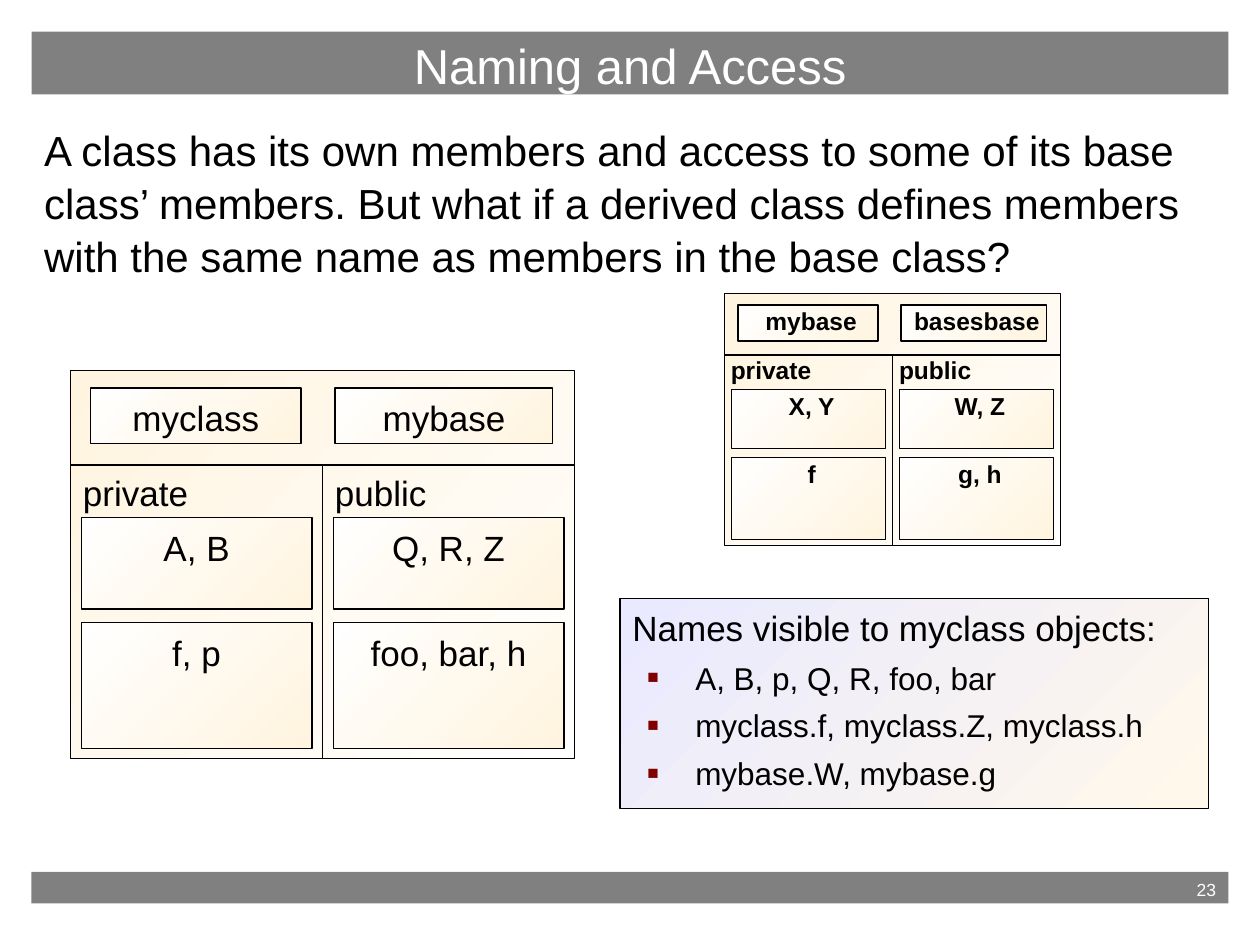
"""Build a slide on naming and access in derived classes."""
from lxml import etree
from pptx import Presentation, util as u
from pptx.dml.color import RGBColor as Rgb
from pptx.enum import shapes as es, text as et
from pptx.oxml.ns import qn

LOOK = {
    "font": "Arial", "ink": "000000", "pale": "FFFFFF", "bar": "808080",
    "cream": "FFF4DF", "sand": "FFF8EB", "lilac": "E9E9FF", "mark": "800000",
    "title": 28, "body": 24, "card": 20, "list": 18, "small": 14, "foot": 10,
    "lead": 1.05, "line": 0.75,
}
WIDE, HIGH = 10, 7.5
LEFT, CENTER, RIGHT = et.PP_ALIGN.LEFT, et.PP_ALIGN.CENTER, et.PP_ALIGN.RIGHT


def write(frame, words, size, ink="ink", align=LEFT, bold=False, pad=(0.1, 0.05, 0.1, 0.05), wrap=True):
    frame.word_wrap = wrap
    frame.auto_size = et.MSO_AUTO_SIZE.NONE
    frame.vertical_anchor = et.MSO_ANCHOR.TOP
    frame.margin_left, frame.margin_top, frame.margin_right, frame.margin_bottom = map(u.Inches, pad)
    para = frame.paragraphs[0]
    para.alignment, para.line_spacing, para.space_before = align, LOOK["lead"], u.Pt(0)
    run = para.add_run()
    run.text = words
    run.font.name, run.font.size, run.font.bold = LOOK["font"], u.Pt(LOOK[size]), bold
    run.font.color.rgb = Rgb.from_string(LOOK[ink])


def block(home, area, *tones):
    shape = home.add_shape(es.MSO_SHAPE.RECTANGLE, *map(u.Inches, area))
    shape.shadow.inherit = False
    if len(tones) == 1:
        shape.fill.solid()
        shape.fill.fore_color.rgb = Rgb.from_string(LOOK[tones[0]])
        shape.line.fill.background()
        return shape
    shape.fill.gradient()
    shape.fill.gradient_angle = 135
    for stop, tone in zip(shape.fill.gradient_stops, tones):
        stop.color.rgb = Rgb.from_string(LOOK[tone])
    shape.line.color.rgb = Rgb.from_string(LOOK["ink"])
    shape.line.width = u.Pt(LOOK["line"])
    return shape


deck = Presentation()
deck.slide_width, deck.slide_height = u.Inches(WIDE), u.Inches(HIGH)
slide = deck.slides.add_slide(deck.slide_layouts[1])
edge, span = WIDE / 40, WIDE * 0.95

foot = block(slide.shapes, (edge, 6.92, span, edge), "bar")
write(foot.text_frame, "23", "foot", "pale", RIGHT)

title, body = slide.placeholders
title.left, title.top, title.width, title.height = map(u.Inches, (edge, edge, span, 2 * edge))
title.fill.solid()
title.fill.fore_color.rgb = Rgb.from_string(LOOK["bar"])
write(title.text_frame, "Naming and Access", "title", "pale", CENTER)
title.text_frame.vertical_anchor = et.MSO_ANCHOR.MIDDLE

body.left, body.top, body.width, body.height = map(u.Inches, (edge, 0.92, span, 5.83))
props = body.text_frame.paragraphs[0]._p.get_or_add_pPr()
props.set("marL", "0")
props.set("indent", "0")
etree.SubElement(props, qn("a:buNone"))
write(body.text_frame, "A class has its own members and access to some of its base class’ members. "
      "But what if a derived class defines members with the same name as members in the base class?", "body")

cards = [
    ((0.56, 2.94, 4, 3.08), "card", False, (0.1, 0.05, 0.1, 0.05),
     ("myclass", "mybase"), (("A, B", "f, p"), ("Q, R, Z", "foo, bar, h"))),
    ((5.75, 2.33, 2.67, 2), "small", True, (0.05, 0, 0, 0),
     ("mybase", "basesbase"), (("X, Y", "f"), ("W, Z", "g, h"))),
]
heads = ((0.04, 0.417), (0.525, 0.432))
rows = ((0.38, 0.235), (0.65, 0.325))
labels = (("private", 0.258), ("public", 0.232))
rule = 0.244

for (x, y, w, h), size, bold, pad, names, cols in cards:
    group = slide.shapes.add_group_shape().shapes
    block(group, (x, y, w, h), "pale", "cream")
    for ends in ((0, rule, 1, rule), (0.5, rule, 0.5, 1)):
        spots = [a + b * c for a, b, c in zip((x, y) * 2, (w, h) * 2, ends)]
        line = group.add_connector(es.MSO_CONNECTOR.STRAIGHT, *map(u.Inches, spots))
        line.line.color.rgb = Rgb.from_string(LOOK["ink"])
        line.line.width = u.Pt(LOOK["line"])
        etree.SubElement(line._element.spPr, qn("a:effectLst"))
    for side, (label, share) in enumerate(labels):
        left = x + side * w / 2
        note = group.add_textbox(*map(u.Inches, (left, y + h * 0.238, w * share, h * 0.14)))
        write(note.text_frame, label, size, bold=bold, pad=pad, wrap=False)
        start, width = heads[side]
        cells = [(names[side], x + w * start, 0.045, width, 0.144)]
        cells += [(words, left + w * 0.021, top, 0.458, tall)
                  for words, (top, tall) in zip(cols[side], rows)]
        for words, at, top, width, tall in cells:
            cell = block(group, (at, y + h * top, w * width, h * tall), "cream", "pale")
            write(cell.text_frame, words, size, align=CENTER, bold=bold, pad=pad)

panel = block(slide.shapes, (4.92, 4.75, 4.67, 1.67), "sand", "lilac")
write(panel.text_frame, "Names visible to myclass objects:", "card")
for words in ("A, B, p, Q, R, foo, bar", "myclass.f, myclass.Z, myclass.h", "mybase.W, mybase.g"):
    para = panel.text_frame.add_paragraph()
    para.level, para.alignment = 1, LEFT
    para.line_spacing, para.space_before = LOOK["lead"], u.Pt(4.5)
    props = para._p.get_or_add_pPr()
    props.set("marL", str(u.Inches(0.5)))
    props.set("indent", str(u.Inches(-0.38)))
    tint = etree.SubElement(props, qn("a:buClr"))
    etree.SubElement(tint, qn("a:srgbClr"), val=LOOK["mark"])
    etree.SubElement(props, qn("a:buSzPct"), val="60000")
    etree.SubElement(props, qn("a:buFont"), typeface=LOOK["font"])
    etree.SubElement(props, qn("a:buChar"), char="■")
    run = para.add_run()
    run.text = words
    run.font.name, run.font.size = LOOK["font"], u.Pt(LOOK["list"])
    run.font.color.rgb = Rgb.from_string(LOOK["ink"])

deck.save("out.pptx")
